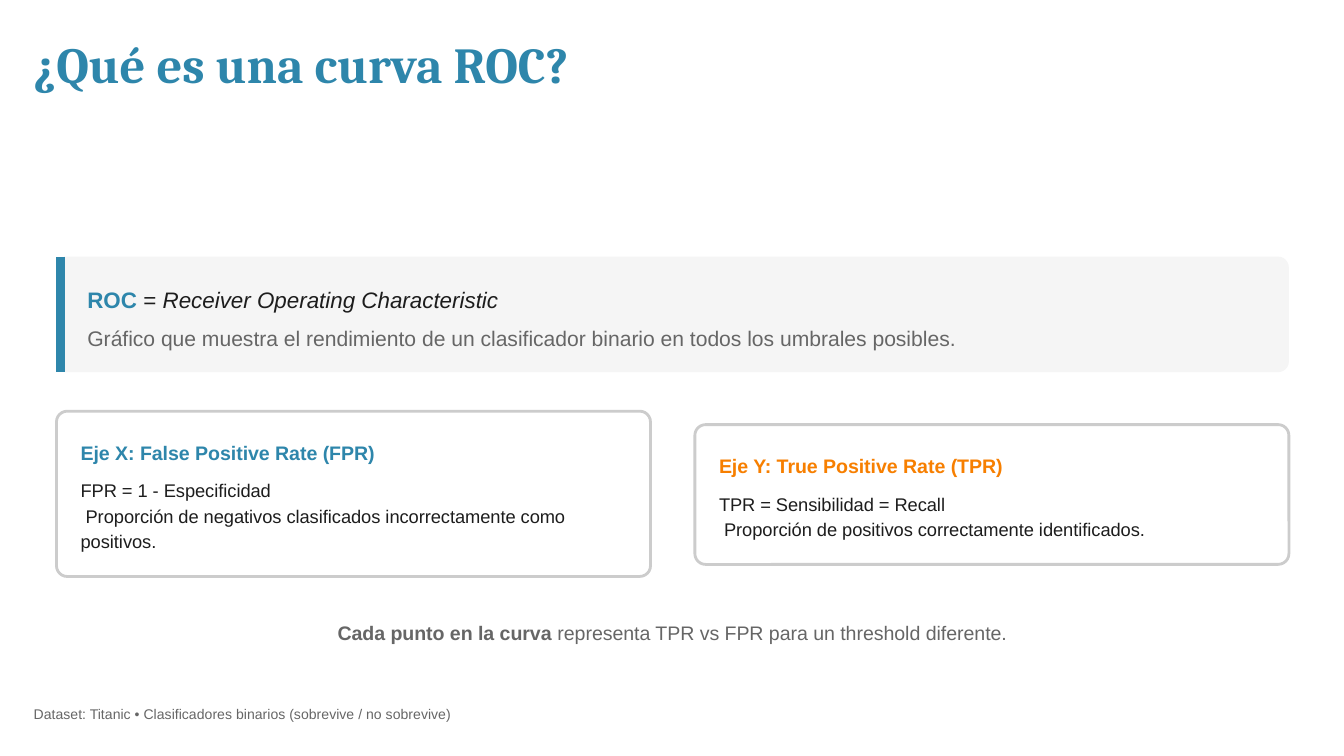
from pptx import Presentation
from pptx.dml.color import RGBColor
from pptx.enum.shapes import MSO_CONNECTOR, MSO_SHAPE
from pptx.enum.text import MSO_ANCHOR, MSO_AUTO_SIZE, PP_ALIGN
from pptx.oxml.ns import qn
from pptx.util import Inches, Pt
from lxml import etree

BLUE = RGBColor(0x2E, 0x86, 0xAB)
ORANGE = RGBColor(0xF7, 0x7F, 0x00)
INK = RGBColor(0x1D, 0x1D, 0x1D)
GRAY = RGBColor(0x66, 0x66, 0x66)
BORDER = RGBColor(0xCC, 0xCC, 0xCC)
PANEL = RGBColor(0xF5, 0xF5, 0xF5)
WHITE = RGBColor(0xFF, 0xFF, 0xFF)

LEFT, CENTER = PP_ALIGN.LEFT, PP_ALIGN.CENTER
TOP = MSO_ANCHOR.TOP
NO_FIT = MSO_AUTO_SIZE.NONE
ROUNDED = MSO_SHAPE.ROUNDED_RECTANGLE
STRAIGHT = MSO_CONNECTOR.STRAIGHT
TITLE_ONLY = 5


class SlideBuilder:
    """Holds the text style and the slide being built."""

    heading_font = "Cambria"
    body_font = "Arial"

    def __init__(self, slide):
        self.slide = slide

    def fill_text(self, shape, paragraphs, size, spacing, font, align=LEFT):
        """Each paragraph is a list of (text, color, bold, italic) spans."""
        frame = shape.text_frame
        frame.word_wrap = True
        frame.auto_size = NO_FIT
        frame.vertical_anchor = TOP
        frame.margin_left = frame.margin_right = 0
        frame.margin_top = frame.margin_bottom = 0
        for index, spans in enumerate(paragraphs):
            para = frame.add_paragraph() if index else frame.paragraphs[0]
            para.alignment = align
            para.line_spacing = Pt(spacing)
            para.space_before = Pt(0)
            for text, color, bold, italic in spans:
                span = para.add_run()
                span.text = text
                span.font.name = font
                span.font.size = Pt(size)
                span.font.bold = bold
                span.font.italic = italic
                span.font.color.rgb = color

    def title(self, text, left, top, width, height):
        title = self.slide.shapes.title
        title.left, title.top = Inches(left), Inches(top)
        title.width, title.height = Inches(width), Inches(height)
        self.fill_text(title, [[(text, BLUE, True, False)]], 27, 32.4, self.heading_font)

    def text(self, paragraphs, left, top, width, height, size, spacing, align=LEFT):
        box = self.slide.shapes.add_textbox(
            Inches(left), Inches(top), Inches(width), Inches(height))
        self.fill_text(box, paragraphs, size, spacing, self.body_font, align)

    def panel(self, left, top, width, height, fill, radius, border=None):
        panel = self.slide.shapes.add_shape(
            ROUNDED, Inches(left), Inches(top), Inches(width), Inches(height))
        panel.adjustments[0] = radius / height
        panel.shadow.inherit = False
        panel.fill.solid()
        panel.fill.fore_color.rgb = fill
        if border is None:
            panel.line.fill.background()
        else:
            panel.line.color.rgb = border
            panel.line.width = Pt(1.5)

    def accent(self, x, top, bottom):
        line = self.slide.shapes.add_connector(
            STRAIGHT, Inches(x), Inches(top), Inches(x), Inches(bottom))
        line.line.color.rgb = BLUE
        line.line.width = Pt(4.5)
        properties = line._element.find(qn("p:spPr"))
        etree.SubElement(properties, qn("a:effectLst"))

    def axis_card(self, left, top, height, heading, color, lines):
        self.panel(left, top, 4.42, height, WHITE, 0.08, BORDER)
        text_left = left + 0.18
        self.text([[(heading, color, True, False)]],
                  text_left, top + 0.19, 4.12, 0.2, 10.5, 14.7)
        self.text([[(line, INK, False, False)] for line in lines],
                  text_left, top + 0.48, 4.12, height - 0.66, 9.75, 13.65)


def main():
    deck = Presentation()
    deck.slide_width = Inches(10)
    deck.slide_height = deck.slide_width * 9 // 16
    page = SlideBuilder(deck.slides.add_slide(deck.slide_layouts[TITLE_ONLY]))

    page.title("¿Qué es una curva ROC?", 0.25, 0.25, 4.86, 0.45)

    # Definition panel
    page.panel(0.42, 1.91, 9.17, 0.86, PANEL, 0.08)
    page.accent(0.45, 1.91, 2.77)
    page.text([[("ROC", BLUE, True, False),
                (" = ", INK, False, False),
                ("Receiver Operating Characteristic", INK, False, True)]],
              0.65, 2.08, 8.95, 0.25, 12, 18)
    page.text([[("Gráfico que muestra el rendimiento de un clasificador binario "
                 "en todos los umbrales posibles.", GRAY, False, False)]],
              0.65, 2.39, 8.95, 0.22, 11.25, 15.75)

    # Axis cards
    page.axis_card(0.42, 3.06, 1.23, "Eje X: False Positive Rate (FPR)", BLUE, [
        "FPR = 1 - Especificidad",
        " Proporción de negativos clasificados incorrectamente como positivos."])
    page.axis_card(5.17, 3.16, 1.04, "Eje Y: True Positive Rate (TPR)", ORANGE, [
        "TPR = Sensibilidad = Recall",
        " Proporción de positivos correctamente identificados."])

    # Closing remark and footer
    page.text([[("Cada punto en la curva", GRAY, True, False),
                (" representa TPR vs FPR para un threshold diferente.",
                 GRAY, False, False)]],
              0.33, 4.59, 9.35, 0.2, 10.5, 14.7, CENTER)
    page.text([[("Dataset: Titanic • Clasificadores binarios "
                 "(sobrevive / no sobrevive)", GRAY, False, False)]],
              0.25, 5.25, 9.69, 0.12, 7.5, 9)

    deck.save("out.pptx")


if __name__ == "__main__":
    main()
